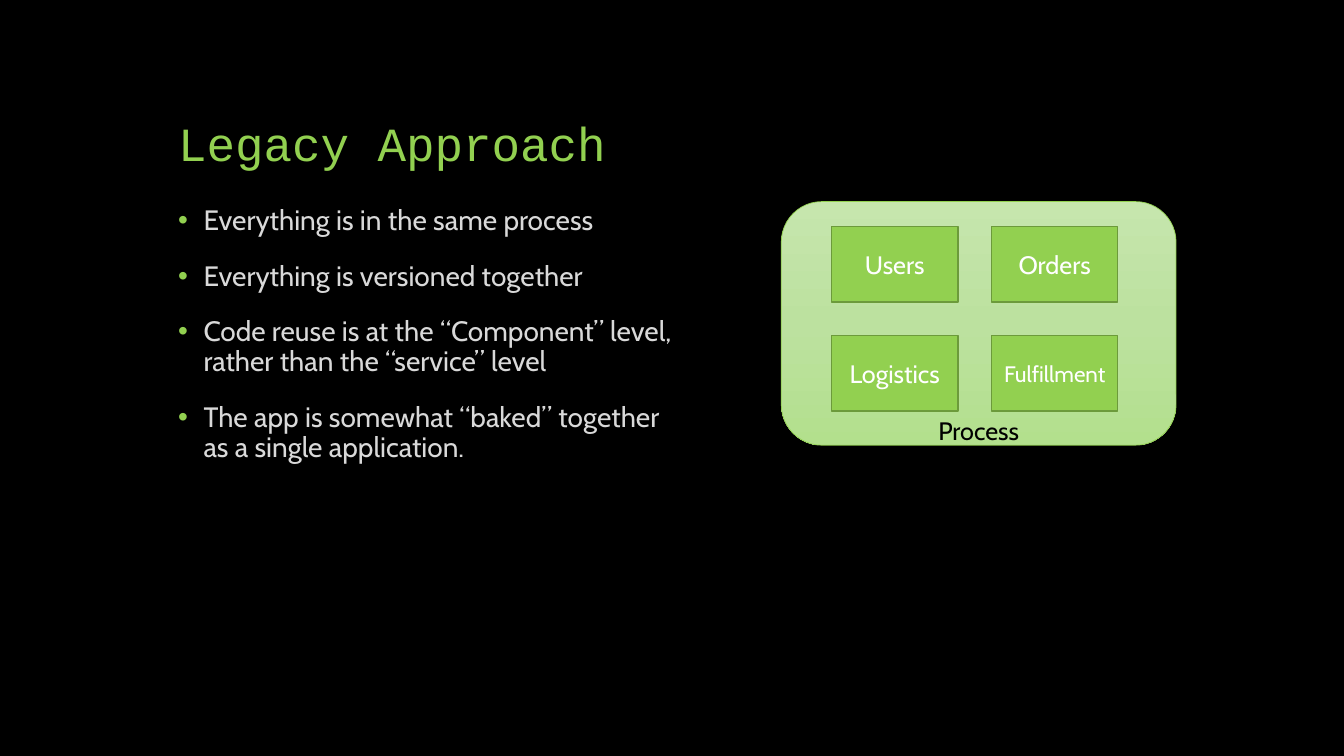
import copy

import pptx
import pptx.dml.color
import pptx.enum.shapes
import pptx.enum.text
import pptx.oxml
import pptx.oxml.ns
import pptx.util

Cm = pptx.util.Cm
Pt = pptx.util.Pt
RGBColor = pptx.dml.color.RGBColor
Shapes = pptx.enum.shapes.MSO_SHAPE
Anchor = pptx.enum.text.MSO_ANCHOR
Align = pptx.enum.text.PP_ALIGN

BLACK = RGBColor(0x00, 0x00, 0x00)
WHITE = RGBColor(0xFF, 0xFF, 0xFF)
LIGHT_GREY = RGBColor(0xD9, 0xD9, 0xD9)
GREEN = RGBColor(0x92, 0xD0, 0x50)
DARK_GREEN = RGBColor(0x6C, 0x9A, 0x3B)
PALE_GREENS = [
    RGBColor(0xC6, 0xE6, 0xAD),
    RGBColor(0xBC, 0xE1, 0x9F),
    RGBColor(0xB3, 0xE0, 0x8D),
]

POINTS = [
    "Everything is in the same process",
    "Everything is versioned together",
    "Code reuse is at the “Component” level,\vrather than the “service” level",
    "The app is somewhat “baked” together\vas a single application.",
]
# Module name and text size, row by row
MODULES = [
    [("Users", 18), ("Orders", 18)],
    [("Logistics", 18), ("Fulfillment", 16)],
]


class SlideBuilder:
    title_font = "Courier New"
    body_font = "Cabin"

    def __init__(self, page):
        self.page = page
        page.background.fill.solid()
        page.background.fill.fore_color.rgb = BLACK

    def style(self, para, font, size, color):
        for span in para.runs:
            span.font.name = font
            span.font.size = Pt(size)
            span.font.color.rgb = color

    def text_box(self, parent, anchor, *place):
        box = parent.shapes.add_textbox(*[Cm(length) for length in place])
        box.text_frame.word_wrap = True
        box.text_frame.vertical_anchor = anchor
        return box.text_frame

    def title(self, text, *place):
        frame = self.text_box(self.page, Anchor.BOTTOM, *place)
        frame.text = text
        para = frame.paragraphs[0]
        para.line_spacing = 0.9
        self.style(para, self.title_font, 34, GREEN)

    def bullets(self, points, *place):
        frame = self.text_box(self.page, Anchor.TOP, *place)
        for index, point in enumerate(points):
            para = frame.add_paragraph() if index else frame.paragraphs[0]
            para.text = point
            para.line_spacing = 0.9
            para.space_before = Pt(18)
            self.style(para, self.body_font, 20, LIGHT_GREY)
            self.add_bullet(para)

    def add_bullet(self, para):
        properties = para._p.get_or_add_pPr()
        properties.set("marL", str(Cm(0.64)))
        properties.set("indent", str(-Cm(0.64)))
        namespace = pptx.oxml.ns.nsdecls("a")
        for markup in (
            f'<a:buClr {namespace}><a:srgbClr val="{GREEN}"/></a:buClr>',
            f'<a:buFont {namespace} typeface="Arial"/>',
            f'<a:buChar {namespace} char="•"/>',
        ):
            properties.append(pptx.oxml.parse_xml(markup))

    def group(self):
        return self.page.shapes.add_group_shape()

    def block(self, group, kind, line_color, line_width, *place):
        box = group.shapes.add_shape(kind, *[Cm(length) for length in place])
        box.shadow.inherit = False
        box.line.color.rgb = line_color
        box.line.width = Pt(line_width)
        return box

    def centred_text(self, frame, text, size, color):
        frame.text = text
        frame.paragraphs[0].alignment = Align.CENTER
        self.style(frame.paragraphs[0], self.body_font, size, color)

    def container(self, group, *place):
        box = self.block(group, Shapes.ROUNDED_RECTANGLE, GREEN, 0.5, *place)
        # Vertical gradient with a middle stop
        box.fill.gradient()
        box.fill.gradient_angle = 270
        stop_list = box._element.spPr.find(".//" + pptx.oxml.ns.qn("a:gsLst"))
        stop_list.insert(1, copy.deepcopy(stop_list[0]))
        for index, stop in enumerate(box.fill.gradient_stops):
            stop.position = index / 2
            stop.color.rgb = PALE_GREENS[index]

    def label(self, group, text, *place):
        frame = self.text_box(group, Anchor.MIDDLE, *place)
        frame.margin_top = frame.margin_bottom = 0
        self.centred_text(frame, text, 18, BLACK)

    def module(self, group, text, size, *place):
        box = self.block(group, Shapes.RECTANGLE, DARK_GREEN, 1, *place)
        box.fill.solid()
        box.fill.fore_color.rgb = GREEN
        box.text_frame.word_wrap = True
        box.text_frame.vertical_anchor = Anchor.MIDDLE
        self.centred_text(box.text_frame, text, size, WHITE)


def main():
    deck = pptx.Presentation()
    deck.slide_width = Cm(33.87)
    deck.slide_height = Cm(19.05)
    builder = SlideBuilder(deck.slides.add_slide(deck.slide_layouts[6]))

    # Title and bullet list
    builder.title("Legacy Approach", 4.24, 1.27, 25.4, 3.18)
    builder.bullets(POINTS, 4.24, 5.08, 25.4, 11.86)

    # Process with its label below the modules
    process = builder.group()
    builder.container(process, 19.69, 5.08, 9.95, 6.14)
    builder.label(process, "Process", 19.69, 10.46, 9.95, 0.76)

    # Grid of modules
    for row, modules in enumerate(MODULES):
        for column, (name, size) in enumerate(modules):
            left = 20.96 + 4.03 * column
            top = 5.71 + 2.75 * row
            builder.module(process, name, size, left, top, 3.18, 1.9)

    deck.save("out.pptx")


if __name__ == "__main__":
    main()
